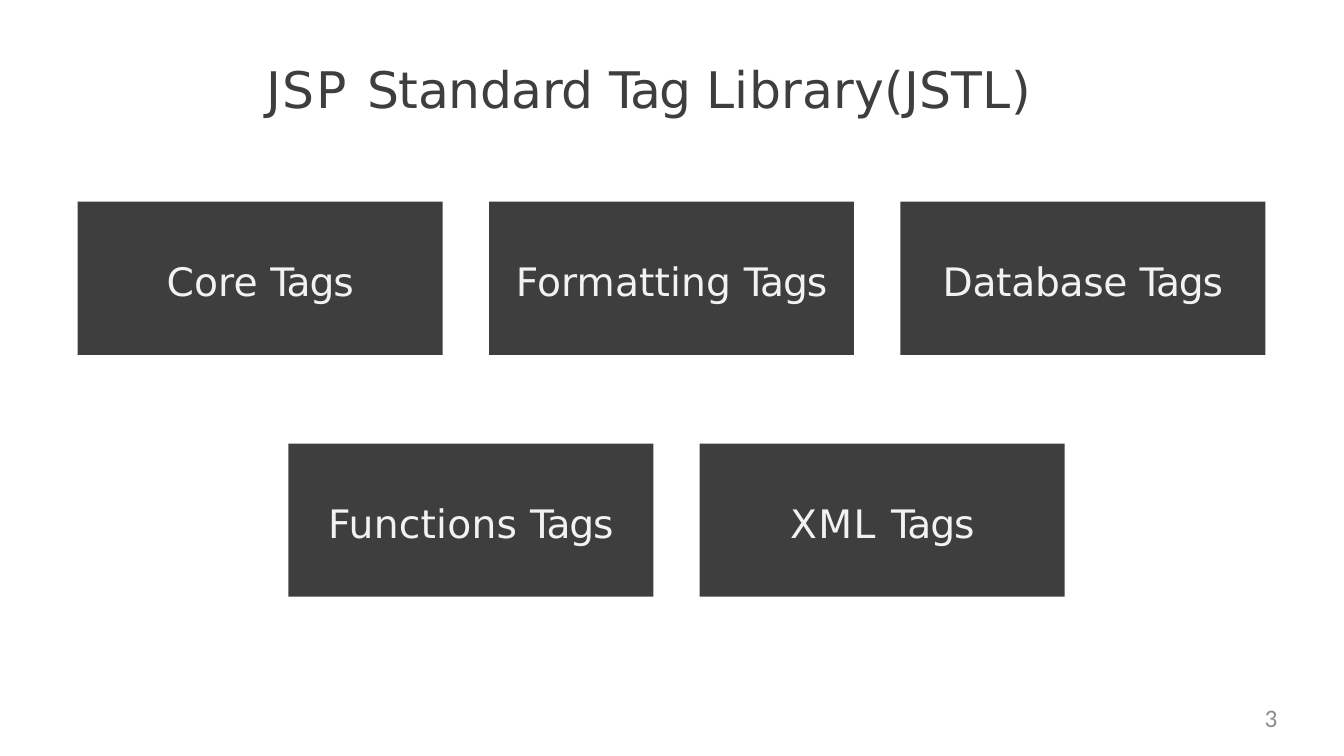
from pptx import Presentation
from pptx.dml.color import RGBColor
from pptx.enum.shapes import MSO_SHAPE
from pptx.enum.text import MSO_ANCHOR, MSO_AUTO_SIZE, PP_ALIGN
from pptx.util import Inches, Pt

RECTANGLE = MSO_SHAPE.RECTANGLE
TOP, MIDDLE = MSO_ANCHOR.TOP, MSO_ANCHOR.MIDDLE
LEFT, CENTER, RIGHT = PP_ALIGN.LEFT, PP_ALIGN.CENTER, PP_ALIGN.RIGHT
NO_FIT = MSO_AUTO_SIZE.NONE
DARK, LIGHT, GREY = "3E3E3E", "F2F2F2", "8C8C8C"
TITLE_FONT, NUMBER_FONT = "DejaVu Sans", "Calibri"


def color(value):
    return RGBColor.from_string(value)


def write(shape, words, size, font, ink, align, anchor, top_inset=0):
    frame = shape.text_frame
    settings = {"margin_left": 0, "margin_right": 0, "margin_bottom": 0,
                "margin_top": Inches(top_inset), "word_wrap": True,
                "auto_size": NO_FIT, "vertical_anchor": anchor}
    for setting, value in settings.items():
        setattr(frame, setting, value)
    paragraph = frame.paragraphs[0]
    paragraph.alignment = align
    for text, spacing in words:
        run = paragraph.add_run()
        run.text = text
        run.font.size = Pt(size)
        run.font.name = font
        run.font.color.rgb = color(ink)
        run.font._element.set("spc", str(round(spacing * 100)))


deck = Presentation()
deck.slide_width = Inches(13.33)
deck.slide_height = Inches(7.5)
slide = deck.slides.add_slide(deck.slide_layouts[5])

title = slide.shapes.title
title.left, title.top = Inches(2.64), Inches(0.57)
title.width, title.height = Inches(7.95), Inches(0.63)
title_words = [("JSP ", 1.4), ("Standard ", -0.3), ("Tag ", -0.9), ("Library(JSTL)", 0.2)]
write(title, title_words, 36, TITLE_FONT, DARK, LEFT, TOP, 0.01)

card_width, card_height, column_pitch = 3.62, 1.52, 4.08
tag_rows = [
    (0.77, 2, [("Core ", 0.1), ("Formatting ", 0.1), ("Database ", -0.2)]),
    (2.86, 4.4, [("Functions ", 0.2), ("XML ", 1.1)]),
]
for row_left, row_top, tags in tag_rows:
    for column, (tag, spacing) in enumerate(tags):
        card = slide.shapes.add_shape(
            RECTANGLE, Inches(row_left + column * column_pitch), Inches(row_top),
            Inches(card_width), Inches(card_height))
        card.shadow.inherit = False
        card.fill.solid()
        card.fill.fore_color.rgb = color(DARK)
        card.line.fill.background()
        write(card, [(tag, spacing), ("Tags", -0.8)], 28, TITLE_FONT, LIGHT, CENTER, MIDDLE, 0.05)

page_number = slide.shapes.add_textbox(Inches(9.6), Inches(6.97), Inches(3.07), Inches(0.38))
write(page_number, [("3", 0)], 18, NUMBER_FONT, GREY, RIGHT, TOP)

deck.save("out.pptx")
